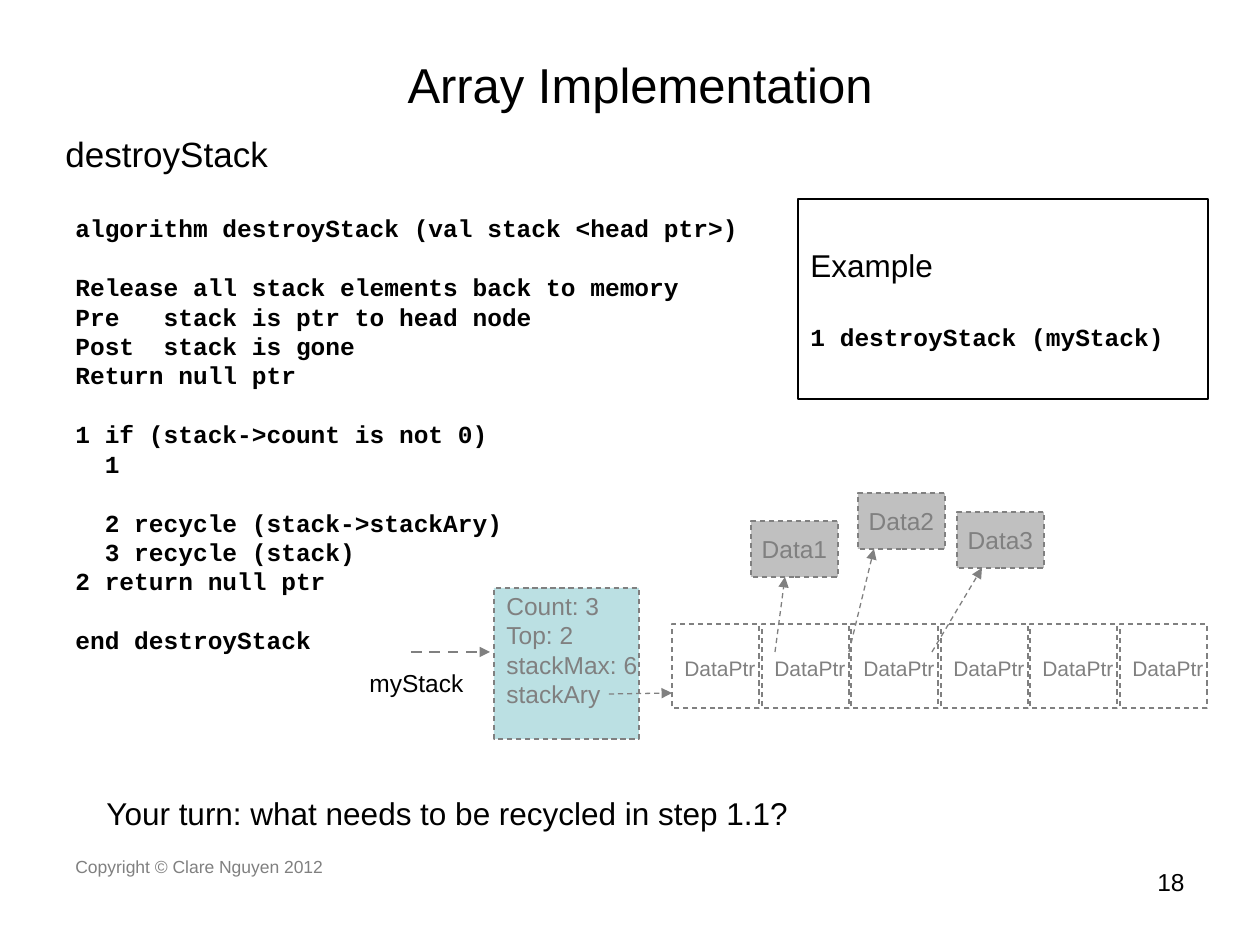
from lxml import etree
from pptx import Presentation
from pptx.dml.color import RGBColor
from pptx.enum.dml import MSO_LINE
from pptx.enum.shapes import MSO_CONNECTOR, MSO_SHAPE
from pptx.enum.text import MSO_ANCHOR, PP_ALIGN
from pptx.oxml.ns import qn
from pptx.util import Emu, Pt

DASH = MSO_LINE.DASH
RECTANGLE = MSO_SHAPE.RECTANGLE
STRAIGHT = MSO_CONNECTOR.STRAIGHT
TOP, MIDDLE = MSO_ANCHOR.TOP, MSO_ANCHOR.MIDDLE
LEFT, CENTER, RIGHT = PP_ALIGN.LEFT, PP_ALIGN.CENTER, PP_ALIGN.RIGHT

BLACK = RGBColor(0x00, 0x00, 0x00)
GRAY = RGBColor(0x80, 0x80, 0x80)
SILVER = RGBColor(0xC0, 0xC0, 0xC0)
PALE_TEAL = RGBColor(0xBB, 0xE0, 0xE3)

PX = 914400 / 126
LINE_HEIGHT = 1.2  # line pitch as a multiple of the font size


def px(*lengths):
    return [Emu(round(length * PX)) for length in lengths]


def write(shape, lines, size, color=BLACK, font="Arial", bold=False,
          align=LEFT, anchor=TOP, wrap=True):
    """Fill a shape with lines; an empty line becomes space before the next."""
    frame = shape.text_frame
    frame.word_wrap = wrap
    frame.vertical_anchor = anchor
    pitch = Pt(size * LINE_HEIGHT)
    para, gap = None, 0
    for line in lines:
        if not line:
            gap += pitch
            continue
        para = frame.add_paragraph() if para is not None else frame.paragraphs[0]
        para.text = line
        para.alignment = align
        para.line_spacing = pitch
        para.space_before = Emu(gap)
        para.font.size = Pt(size)
        para.font.name = font
        para.font.bold = bold
        para.font.color.rgb = color
        gap = 0


deck = Presentation()
deck.slide_width, deck.slide_height = px(1260, 945)
page = deck.slides.add_slide(deck.slide_layouts[5])
shapes = page.shapes

# Title
title = shapes.title
title.left, title.top, title.width, title.height = px(73, 42, 1134, 84)
write(title, ["Array Implementation"], 28, align=CENTER, anchor=MIDDLE)

# Plain text: place, wording, size, colour, alignment
for place, words, size, color, align in [
    ((53, 126, 1134, 60), "destroyStack", 20, BLACK, LEFT),
    ((94, 788, 861, 50), "Your turn: what needs to be recycled in step 1.1?", 18, BLACK, LEFT),
    ((357, 662, 141, 43), "myStack", 14, BLACK, LEFT),
    ((63, 850, 399, 66), "Copyright © Clare Nguyen 2012", 10, GRAY, LEFT),
    ((903, 861, 294, 66), "18", 14, BLACK, RIGHT),
]:
    write(shapes.add_textbox(*px(*place)), [words], size, color, align=align)

# Algorithm listing
CODE = """algorithm destroyStack (val stack <head ptr>)

Release all stack elements back to memory
Pre   stack is ptr to head node
Post  stack is gone
Return null ptr

1 if (stack->count is not 0)
  1

  2 recycle (stack->stackAry)
  3 recycle (stack)
2 return null ptr

end destroyStack"""
code_box = shapes.add_textbox(*px(63, 207, 693, 454))
write(code_box, CODE.split("\n"), 14, font="Courier New", bold=True, anchor=MIDDLE)

# Example box: a heading over one line of code
example = shapes.add_shape(RECTANGLE, *px(798, 199, 410, 200))
example.shadow.inherit = False
example.fill.background()
example.line.color.rgb = BLACK
example.line.width = Pt(0.75)
write(example, ["Example", "", "1 destroyStack (myStack)"], 18, anchor=MIDDLE, wrap=False)
call = example.text_frame.paragraphs[1]
call.line_spacing = Pt(14 * LINE_HEIGHT)
call.font.size = Pt(14)
call.font.name = "Courier New"
call.font.bold = True

# Dashed boxes: place, fill, lines, size, alignment, anchor
boxes = [((494, 588, 145, 151), PALE_TEAL,
          ["Count: 3", "Top: 2", "stackMax: 6", "stackAry"], 14, LEFT, TOP)]
for number, (left, top) in enumerate([(751, 521), (858, 493), (957, 512)], 1):
    boxes.append(((left, top, 87, 56), SILVER, [f"Data{number}"], 14, CENTER, MIDDLE))
for column in range(6):
    boxes.append(((672 + round(column * 89.6), 624, 87, 84), None,
                  ["DataPtr"], 12, LEFT, MIDDLE))

for place, fill, lines, size, align, anchor in boxes:
    box = shapes.add_shape(RECTANGLE, *px(*place))
    box.shadow.inherit = False
    if fill is None:
        box.fill.background()
        box.text_frame.margin_top = px(10)[0]
    else:
        box.fill.solid()
        box.fill.fore_color.rgb = fill
    if anchor == TOP:
        box.text_frame.margin_top = px(3)[0]
    box.line.color.rgb = GRAY
    box.line.width = Pt(0.75)
    box.line.dash_style = DASH
    write(box, lines, size, GRAY, align=align, anchor=anchor, wrap=False)

# Pointer arrows: start, end, width
for ends, width in [
    ((411, 652, 490, 652), 1.5),
    ((609, 694, 672, 693), 0.75),
    ((775, 652, 785, 577), 0.75),
    ((849, 652, 874, 549), 0.75),
    ((932, 652, 982, 568), 0.75),
]:
    arrow = shapes.add_connector(STRAIGHT, *px(*ends))
    arrow.line.color.rgb = GRAY
    arrow.line.width = Pt(width)
    arrow.line.dash_style = DASH
    etree.SubElement(arrow.line._get_or_add_ln(), qn("a:tailEnd"), type="triangle")
    etree.SubElement(arrow._element.spPr, qn("a:effectLst"))

deck.save("out.pptx")
